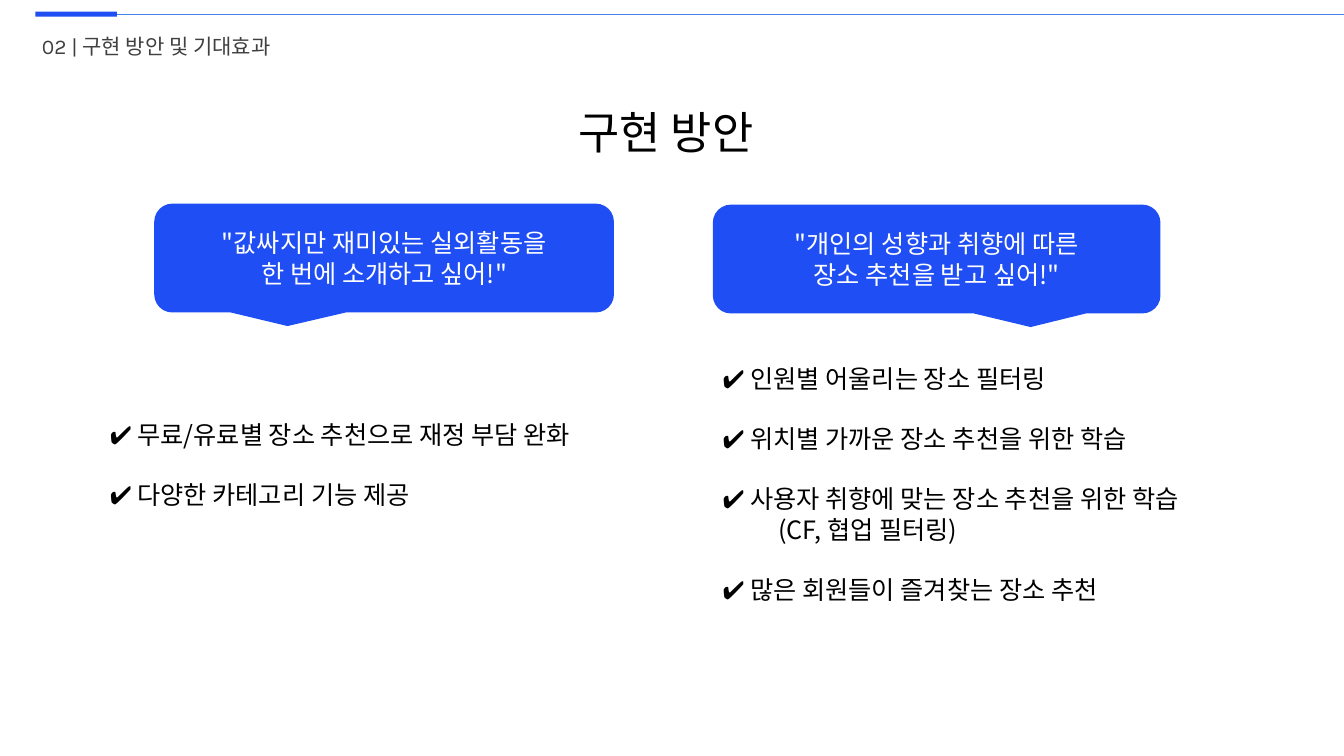
from lxml.etree import SubElement
from pptx import Presentation
from pptx.dml.color import RGBColor
from pptx.enum.shapes import MSO_CONNECTOR, MSO_SHAPE
from pptx.enum.text import MSO_ANCHOR, PP_ALIGN
from pptx.oxml.ns import qn
from pptx.util import Inches, Pt

WIDTH, HEIGHT = 13.33, 7.5
BLUE, PALE_BLUE, GRAY, BLACK, WHITE = "1F4EF5", "487FEE", "404040", "000000", "FFFFFF"
BODY_FONT, HEADER_FONT = "Noto Sans CJK KR", "Karla"
LINE_RATIO = 1.2
BODY_SIZE = 18
BAR_LEFT, BAR_WIDTH, BAR_HEIGHT, RULE_Y = 0.35, 0.81, 0.05, 0.14
CONTINUATION_INDENT = 0.55

HEADER = "02 | 구현 방안 및 기대효과"
TITLE = "구현 방안"

# Each list item holds its lines; lines after the first are indented.
COLUMNS = [
    {
        "quote": ['"값싸지만 재미있는 실외활동을', '한 번에 소개하고 싶어!"'],
        "callout": (1.53, 2.02, 4.56, 1.08),
        "tail": -0.21,
        "items": [
            ["무료/유료별 장소 추천으로 재정 부담 완화"],
            ["다양한 카테고리 기능 제공"],
        ],
        "list": (0.99, 4.11, 5.45, 1.01),
    },
    {
        "quote": ['"개인의 성향과 취향에 따른', '장소 추천을 받고 싶어!"'],
        "callout": (7.07, 2.03, 4.44, 1.08),
        "tail": 0.21,
        "items": [
            ["인원별 어울리는 장소 필터링"],
            ["위치별 가까운 장소 추천을 위한 학습"],
            ["사용자 취향에 맞는 장소 추천을 위한 학습", "(CF, 협업 필터링)"],
            ["많은 회원들이 즐겨찾는 장소 추천"],
        ],
        "list": (7.07, 3.55, 6.26, 2.52),
    },
]


def color(hex_string):
    return RGBColor.from_string(hex_string)


def inches(box):
    return [Inches(length) for length in box]


def write(text_frame, lines, size, hex_string, font=BODY_FONT, align=PP_ALIGN.CENTER):
    """Fill the frame with one paragraph per line and return the paragraphs."""
    text_frame.word_wrap = True
    text_frame.text = "\n".join(lines)
    for paragraph in text_frame.paragraphs:
        paragraph.alignment = align
        paragraph.line_spacing = Pt(size * LINE_RATIO)
        for run in paragraph.runs:
            run.font.size = Pt(size)
            run.font.name = font
            run.font.color.rgb = color(hex_string)
            SubElement(run.font._element, qn("a:ea")).set("typeface", BODY_FONT)
    return text_frame.paragraphs


def add_text(slide, box, *text, **style):
    return write(slide.shapes.add_textbox(*inches(box)).text_frame, *text, **style)


def add_blue_shape(slide, kind, box):
    shape = slide.shapes.add_shape(kind, *inches(box))
    shape.shadow.inherit = False
    shape.fill.solid()
    shape.fill.fore_color.rgb = color(BLUE)
    shape.line.fill.background()
    return shape


def add_header(slide):
    add_blue_shape(slide, MSO_SHAPE.RECTANGLE,
                   (BAR_LEFT, RULE_Y - BAR_HEIGHT / 2, BAR_WIDTH, BAR_HEIGHT))
    rule = slide.shapes.add_connector(
        MSO_CONNECTOR.STRAIGHT,
        *inches((BAR_LEFT + BAR_WIDTH, RULE_Y, WIDTH, RULE_Y)))
    rule.line.color.rgb = color(PALE_BLUE)
    rule.line.width = Pt(0.5)
    SubElement(rule._element.spPr, qn("a:effectLst"))
    add_text(slide, (-0.28, 0.28, 3.66, 0.35), [HEADER], 15, GRAY, font=HEADER_FONT)


def add_callout(slide, box, quote, tail):
    callout = add_blue_shape(slide, MSO_SHAPE.ROUNDED_RECTANGULAR_CALLOUT, box)
    callout.adjustments[0] = tail
    callout.text_frame.vertical_anchor = MSO_ANCHOR.MIDDLE
    write(callout.text_frame, quote, BODY_SIZE, WHITE)


def add_checklist(slide, box, items):
    lines = [("✔️ " if index == 0 else "") + line
             for item in items for index, line in enumerate(item)]
    paragraphs = add_text(slide, box, lines, BODY_SIZE, BLACK, align=PP_ALIGN.LEFT)
    for paragraph in paragraphs[1:]:
        if paragraph.text.startswith("✔"):
            paragraph.space_before = Pt(BODY_SIZE * LINE_RATIO)
        else:
            properties = paragraph._p.get_or_add_pPr()
            properties.set("marL", str(Inches(CONTINUATION_INDENT)))


def main():
    presentation = Presentation()
    presentation.slide_width, presentation.slide_height = inches((WIDTH, HEIGHT))
    slide = presentation.slides.add_slide(presentation.slide_layouts[6])
    add_header(slide)
    add_text(slide, (3.42, 0.99, 6.37, 0.64), [TITLE], 32, BLACK)
    for column in COLUMNS:
        add_callout(slide, column["callout"], column["quote"], column["tail"])
        add_checklist(slide, column["list"], column["items"])
    presentation.save("out.pptx")


if __name__ == "__main__":
    main()
